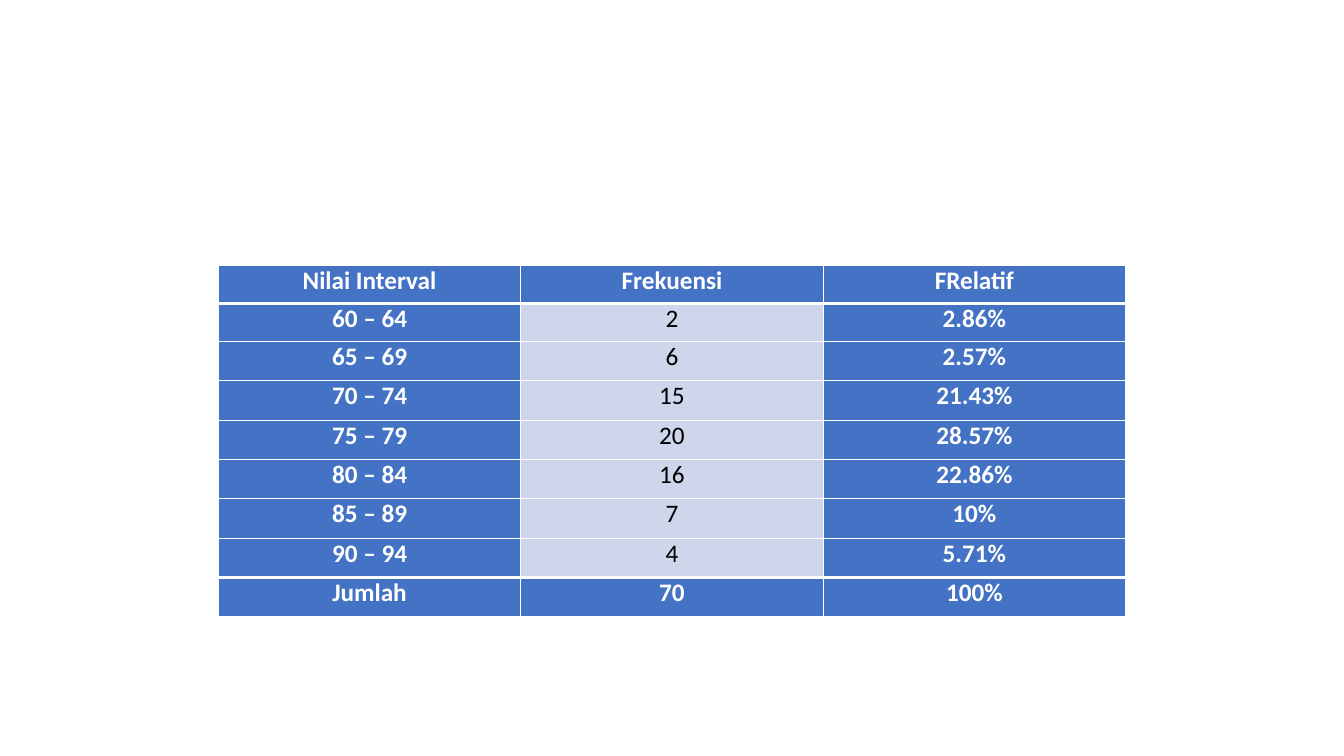
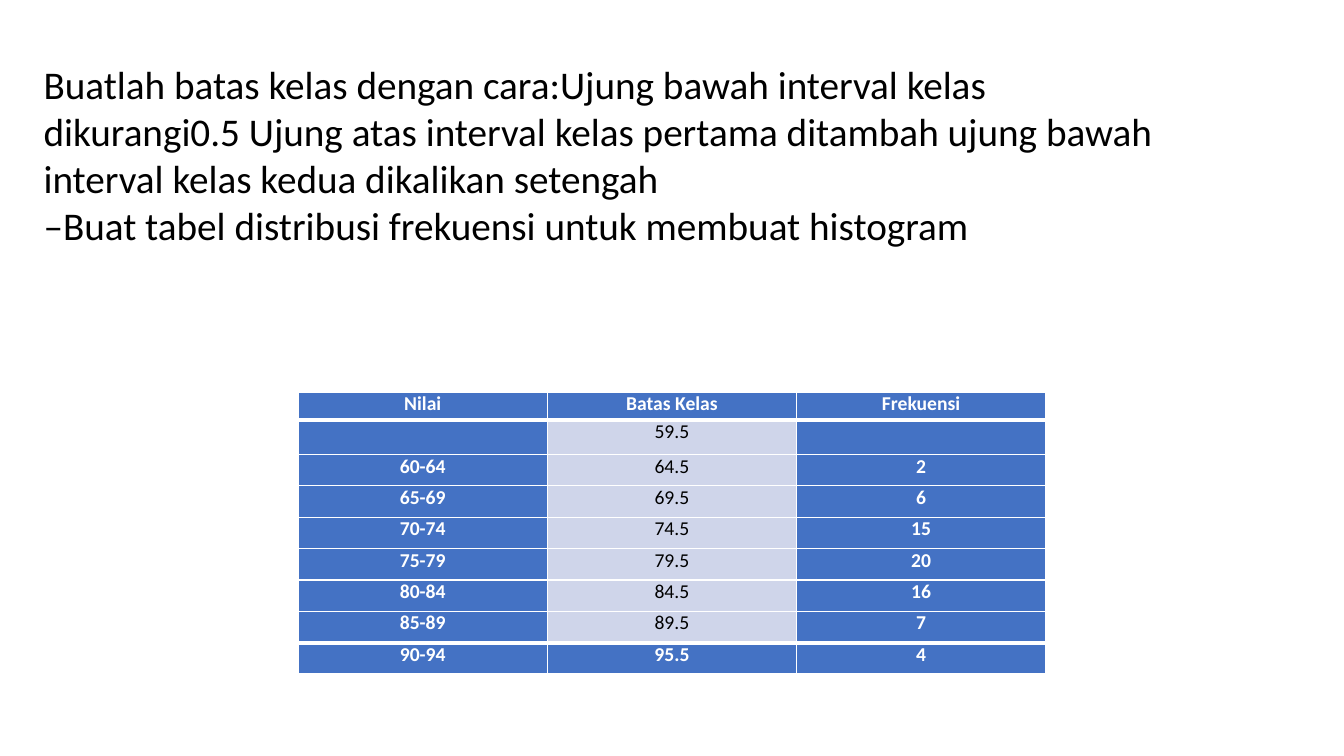
from dataclasses import dataclass

from lxml import etree
from pptx import Presentation
from pptx import util as u
from pptx.dml.color import RGBColor
from pptx.enum import text
from pptx.oxml import ns


@dataclass(frozen=True)
class Theme:
    font: str = "Calibri"
    white: str = "FFFFFF"
    black: str = "000000"
    header: str = "4472C4"
    body: str = "CFD5EA"
    prompt_size: float = 28
    large_size: float = 18
    small_size: float = 14
    thin: float = 1
    thick: float = 3


class Deck:
    """Holds the theme and the current slide, and draws its elements."""

    def __init__(self, theme):
        self.theme = theme
        self.prs = Presentation()
        self.prs.slide_width, self.prs.slide_height = u.Pt(960), u.Pt(540)
        self.s = None

    def slide(self):
        self.s = self.prs.slides.add_slide(self.prs.slide_layouts[6])

    def run(self, p, content, size, color, bold=False):
        r = p.add_run()
        r.text = content
        fmt = {"name": self.theme.font, "size": u.Pt(size), "bold": bold}
        for name, value in fmt.items():
            setattr(r.font, name, value)
        r.font.color.rgb = RGBColor.from_string(color)

    def textbox(self, x, y, w, h, paragraphs):
        sp = self.s.shapes.add_textbox(u.Pt(x), u.Pt(y), u.Pt(w), u.Pt(h))
        tf = sp.text_frame
        tf.word_wrap = True
        for i, content in enumerate(paragraphs):
            p = tf.add_paragraph() if i else tf.paragraphs[0]
            self.run(p, content, self.theme.prompt_size, self.theme.black)

    def borders(self, cell, top, bottom):
        tc_pr = cell._tc.get_or_add_tcPr()
        widths = {"L": self.theme.thin, "R": self.theme.thin, "T": top, "B": bottom}
        for side, width in widths.items():
            ln = etree.SubElement(tc_pr, ns.qn(f"a:ln{side}"), w=str(u.Pt(width)))
            fill = etree.SubElement(ln, ns.qn("a:solidFill"))
            etree.SubElement(fill, ns.qn("a:srgbClr"), val=self.theme.white)

    def cell(self, cell, content, size, strong, top, bottom):
        t = self.theme
        self.borders(cell, top, bottom)
        cell.fill.solid()
        cell.fill.fore_color.rgb = RGBColor.from_string(t.header if strong else t.body)
        for side in ("left", "right", "top", "bottom"):
            setattr(cell, f"margin_{side}", 0)
        p = cell.text_frame.paragraphs[0]
        p.alignment = text.PP_ALIGN.CENTER
        if content:
            self.run(p, content, size, t.white if strong else t.black, strong)

    def table(self, x, y, col_width, heights, size, rows):
        t = self.theme
        n_cols, last = len(rows[0]), len(rows) - 1
        frame = self.s.shapes.add_table(
            len(rows), n_cols, u.Pt(x), u.Pt(y), u.Pt(col_width * n_cols), u.Pt(sum(heights)))
        tbl = frame.table
        tbl.horz_banding = False
        for col in tbl.columns:
            col.width = u.Pt(col_width)
        for i, (row, height) in enumerate(zip(rows, heights)):
            tbl.rows[i].height = u.Pt(height)
            top = t.thick if i in (1, last) else t.thin
            bottom = t.thick if i in (0, last - 1) else t.thin
            for j, content in enumerate(row):
                strong = j != 1 or i in (0, last)
                self.cell(tbl.cell(i, j), content, size, strong, top, bottom)


RELATIVE_FREQUENCIES = [
    ("Nilai Interval", "Frekuensi", "FRelatif"),
    ("60 – 64", "2", "2.86%"),
    ("65 – 69", "6", "2.57%"),
    ("70 – 74", "15", "21.43%"),
    ("75 – 79", "20", "28.57%"),
    ("80 – 84", "16", "22.86%"),
    ("85 – 89", "7", "10%"),
    ("90 – 94", "4", "5.71%"),
    ("Jumlah", "70", "100%"),
]

CLASS_BOUNDARIES = [
    ("Nilai", "Batas Kelas", "Frekuensi"),
    ("", "59.5", ""),
    ("60-64", "64.5", "2"),
    ("65-69", "69.5", "6"),
    ("70-74", "74.5", "15"),
    ("75-79", "79.5", "20"),
    ("80-84", "84.5", "16"),
    ("85-89", "89.5", "7"),
    ("90-94", "95.5", "4"),
]

INSTRUCTIONS = [
    "Buatlah batas kelas dengan cara:Ujung bawah interval kelas dikurangi0.5 "
    "Ujung atas interval kelas pertama ditambah ujung bawah interval kelas kedua "
    "dikalikan setengah",
    "–Buat tabel distribusi frekuensi untuk membuat histogram",
]


def main():
    theme = Theme()
    deck = Deck(theme)

    deck.slide()
    deck.table(156, 189.5, 216, [27.25] * 2 + [28.1] * 7, theme.large_size, RELATIVE_FREQUENCIES)

    deck.slide()
    deck.textbox(24, 39.5, 832, 208, INSTRUCTIONS)
    deck.table(213, 280, 178, [20.2, 24.5] + [22.4] * 7, theme.small_size, CLASS_BOUNDARIES)

    deck.prs.save("out.pptx")


if __name__ == "__main__":
    main()
